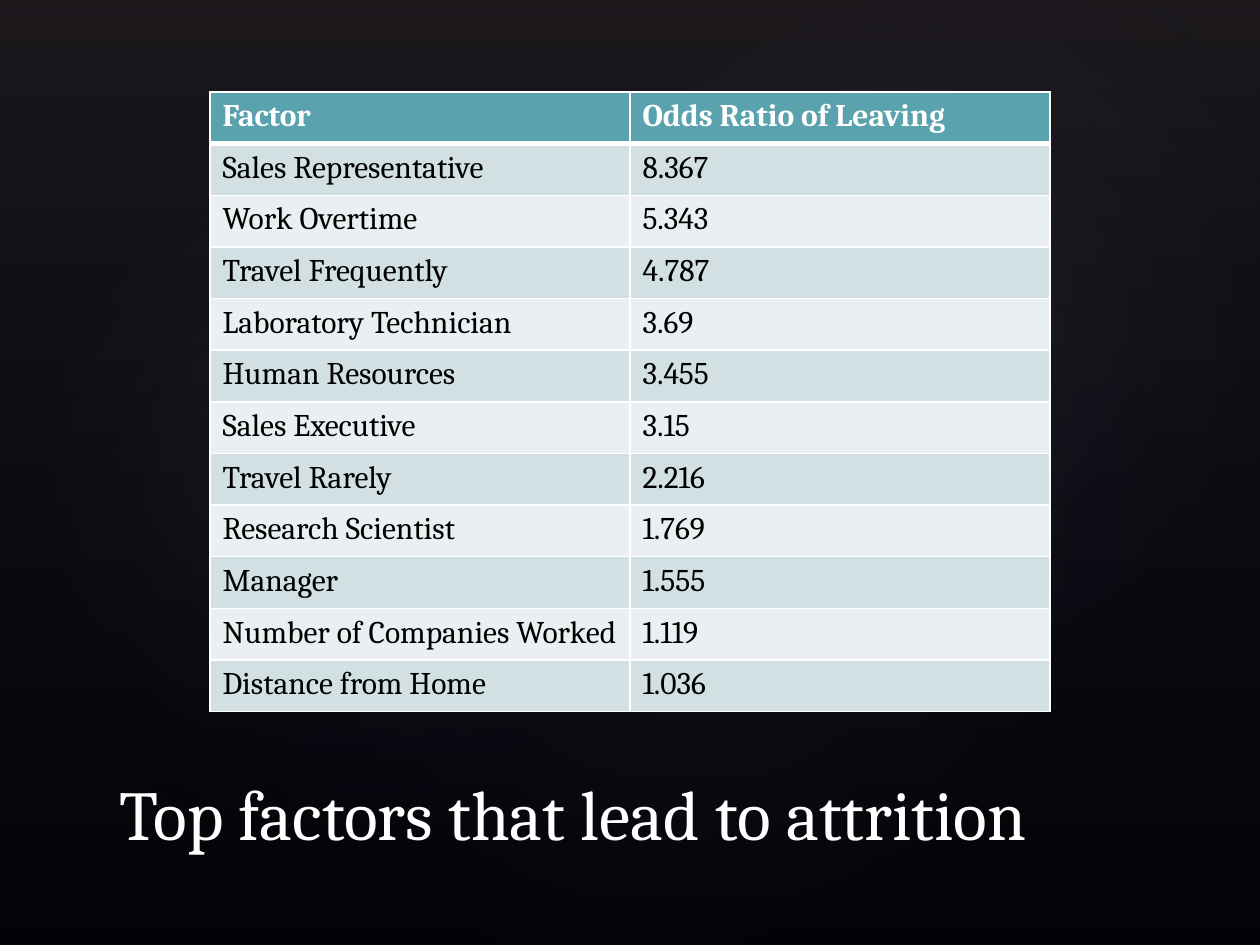
from lxml import etree
from pptx import Presentation
from pptx.dml.color import RGBColor
from pptx.enum.shapes import MSO_SHAPE
from pptx.enum.text import MSO_ANCHOR
from pptx.oxml.ns import qn
from pptx.util import Inches, Pt

RECT, OVAL = MSO_SHAPE.RECTANGLE, MSO_SHAPE.OVAL
BOTTOM = MSO_ANCHOR.BOTTOM
W, H = 10, 7.5
FONT = "Cambria"
WHITE, BLACK, NAVY = "FFFFFF", "000000", "242852"
HEADER_FILL, BANDS = "5AA2AE", ("D2E0E3", "EAF0F2")

TITLE = "Top factors that lead to attrition"
FACTORS = [
    ("Factor", "Odds Ratio of Leaving"),
    ("Sales Representative", "8.367"),
    ("Work Overtime", "5.343"),
    ("Travel Frequently", "4.787"),
    ("Laboratory Technician", "3.69"),
    ("Human Resources", "3.455"),
    ("Sales Executive", "3.15"),
    ("Travel Rarely", "2.216"),
    ("Research Scientist", "1.769"),
    ("Manager", "1.555"),
    ("Number of Companies Worked", "1.119"),
    ("Distance from Home", "1.036"),
]
GLOWS = [
    ((1.5, 1.14, 7.92, 6.24), 328.7, 7),
    ((-0.3, 1.28, 6.06, 4.9), 294.3, 8),
    ((3.58, 0.13, 7.09, 5.2), 328.7, 8),
]
TABLE_TOP, ROW_H = 0.73, 0.41
TABLE_W = W * 2 / 3


def rgb(color):
    return RGBColor.from_string(color)


def add(parent, tag, **attrs):
    return etree.SubElement(parent, qn(tag), {k: str(v) for k, v in attrs.items()})


def add_solid(parent, color, alpha=None):
    clr = add(parent, "a:srgbClr", val=color)
    if alpha is not None:
        add(clr, "a:alpha", val=alpha * 1000)


def add_layer(slide, kind, box, stops, rotation=0, radial=False):
    s = slide.shapes.add_shape(kind, *map(Inches, box))
    s.shadow.inherit = False
    s.rotation = rotation
    s.line.fill.background()
    s.fill.gradient()
    grad = s._element.spPr.find(qn("a:gradFill"))
    grad.clear()
    grad.set("rotWithShape", "1")
    stop_list = add(grad, "a:gsLst")
    for pos, color, alpha in stops:
        add_solid(add(stop_list, "a:gs", pos=pos * 1000), color, alpha)
    if radial:
        path = add(grad, "a:path", path="circle")
        add(path, "a:fillToRect", l=50000, t=50000, r=50000, b=50000)
    else:
        add(grad, "a:lin", ang=90 * 60000, scaled=0)


def write(tf, text, color, **font):
    r = tf.paragraphs[0].add_run()
    r.text = text
    r.font.color.rgb = rgb(color)
    for name, value in {"name": FONT, **font}.items():
        setattr(r.font, name, value)


def add_borders(cell, bottom):
    tcPr = cell._tc.get_or_add_tcPr()
    widths = {"a:lnL": 1, "a:lnR": 1, "a:lnT": 1, "a:lnB": bottom}
    for i, (tag, width) in enumerate(widths.items()):
        ln = add(tcPr, tag, w=Pt(width))
        add_solid(add(ln, "a:solidFill"), WHITE)
        tcPr.insert(i, ln)


def add_factors(slide):
    rows, cols = len(FACTORS), len(FACTORS[0])
    box = ((W - TABLE_W) / 2, TABLE_TOP, TABLE_W, ROW_H * rows)
    table = slide.shapes.add_table(rows, cols, *map(Inches, box)).table
    for i, row in enumerate(FACTORS):
        header = i == 0
        for j, text in enumerate(row):
            cell = table.cell(i, j)
            cell.fill.solid()
            cell.fill.fore_color.rgb = rgb(HEADER_FILL if header else BANDS[(i - 1) % 2])
            write(cell.text_frame, text, WHITE if header else BLACK,
                  size=Pt(18), bold=header)
            add_borders(cell, 3 if header else 1)


def main():
    prs = Presentation()
    prs.slide_width, prs.slide_height = Inches(W), Inches(H)
    slide = prs.slides.add_slide(prs.slide_layouts[6])
    slide.background.fill.solid()
    slide.background.fill.fore_color.rgb = rgb(BLACK)

    add_layer(slide, RECT, (0, 0, W, H), [(0, "504652", 36), (100, NAVY, 10)])
    for box, rotation, alpha in GLOWS:
        add_layer(slide, OVAL, box, [(0, "C4BCC6", alpha), (58, NAVY, 0), (100, NAVY, 0)],
                  rotation, radial=True)

    tf = slide.shapes.add_textbox(*map(Inches, (0.85, 5.83, 8.25, 1))).text_frame
    tf.word_wrap = True
    tf.vertical_anchor = BOTTOM
    write(tf, TITLE, WHITE, size=Pt(40))
    add_factors(slide)
    prs.save("out.pptx")


if __name__ == "__main__":
    main()
